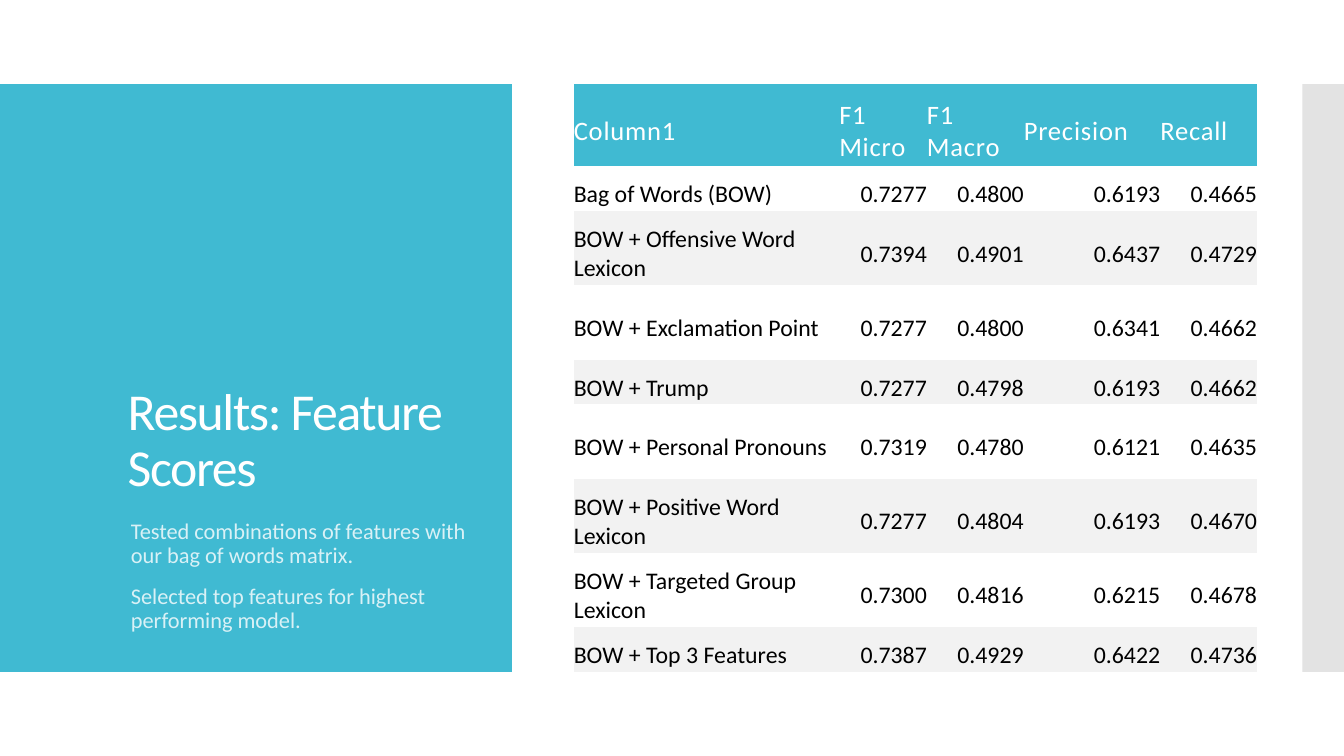
from pptx import Presentation
from pptx.dml.color import RGBColor
from pptx.enum.shapes import MSO_SHAPE
from pptx.enum.text import MSO_ANCHOR, PP_ALIGN
from pptx.util import Cm, Pt

TEAL, WHITE, BLACK = "40BAD2", "FFFFFF", "000000"
PALE, GREY, BAND = "D9F1F6", "E3E3E3", "F2F2F2"
NO_GRID = "{2D5ABB26-0587-4C30-8999-92F81FD0307C}"

TITLE = "Results:\u00a0Feature Scores"
NOTES = ["Tested combinations of features with our bag of words matrix.",
         "Selected top features for highest performing model."]
HEADS = ["Column1", "F1 Micro", "F1 Macro", "Precision", "Recall"]
SCORES = [
    ("Bag of Words (BOW)", 0.7277, 0.4800, 0.6193, 0.4665),
    ("BOW + Offensive Word Lexicon", 0.7394, 0.4901, 0.6437, 0.4729),
    ("BOW + Exclamation Point", 0.7277, 0.4800, 0.6341, 0.4662),
    ("BOW + Trump", 0.7277, 0.4798, 0.6193, 0.4662),
    ("BOW + Personal Pronouns", 0.7319, 0.4780, 0.6121, 0.4635),
    ("BOW + Positive Word Lexicon", 0.7277, 0.4804, 0.6193, 0.4670),
    ("BOW + Targeted Group Lexicon", 0.7300, 0.4816, 0.6215, 0.4678),
    ("BOW + Top 3 Features", 0.7387, 0.4929, 0.6422, 0.4736),
]
WIDTHS = [6.69, 2.21, 2.44, 3.44, 2.44]
HEAD, LOW, TALL = 2.07, 1.13, 1.87
HEIGHTS = [HEAD, LOW, TALL, TALL, LOW, TALL, TALL, TALL, LOW]


def color(code):
    """Turn a hex string into a colour."""
    return RGBColor.from_string(code)


def style(para, size, code, gap=0):
    """Set font, size, colour and letter gap (points) of a paragraph."""
    font = para.font
    font.name, font.size = "Calibri", Pt(size)
    font.color.rgb = color(code)
    if gap:
        font._element.set("spc", str(round(gap * 100)))


def add_panel(slide, box, code):
    """Draw a plain filled rectangle."""
    panel = slide.shapes.add_shape(MSO_SHAPE.RECTANGLE, *map(Cm, box))
    panel.shadow.inherit = False
    panel.fill.solid()
    panel.fill.fore_color.rgb = color(code)
    panel.line.fill.background()


def add_text(slide, box, lines, size, code, gap=0, before=0,
             anchor=MSO_ANCHOR.TOP):
    """Add a wrapped text box with one paragraph per line."""
    frame = slide.shapes.add_textbox(*map(Cm, box)).text_frame
    frame.word_wrap = True
    frame.vertical_anchor = anchor
    frame.text = "\n".join(lines)
    for para in frame.paragraphs:
        para.line_spacing = 0.9
        para.space_before = Pt(before)
        style(para, size, code, gap)


def add_intro(slide, box):
    """Fill the left panel with the title and the notes."""
    left, top, width, height = box
    add_panel(slide, box, TEAL)
    add_text(slide, (left + 2.97, top + 1.5, 9.04, 9.04), [TITLE], 37, WHITE,
             gap=-1, anchor=MSO_ANCHOR.BOTTOM)
    add_text(slide, (left + 3.05, top + 10.86, 8.97, 2.54), NOTES, 16, PALE,
             before=12)


def fill_cell(cell, text, row, col):
    """Write one cell, styled by its place in the table."""
    cell.margin_left = cell.margin_right = cell.margin_bottom = 0
    cell.margin_top = Cm(0.3)
    cell.vertical_anchor = MSO_ANCHOR.MIDDLE
    cell.text = text
    para = cell.text_frame.paragraphs[0]
    if row == 0:
        style(para, 19, WHITE, 0.6)
    else:
        style(para, 17, BLACK)
        para.alignment = PP_ALIGN.RIGHT if col else PP_ALIGN.LEFT
    if row % 2 and row:
        cell.fill.background()
    else:
        cell.fill.solid()
        cell.fill.fore_color.rgb = color(BAND if row else TEAL)


def add_scores(slide, box):
    """Add the table of scores."""
    rows = [HEADS] + [[name] + [f"{score:.4f}" for score in scores]
                      for name, *scores in SCORES]
    frame = slide.shapes.add_table(len(rows), len(HEADS), *map(Cm, box))
    table = frame.table
    table.horz_banding = False
    table._tbl.tblPr[0].text = NO_GRID
    for column, width in zip(table.columns, WIDTHS):
        column.width = Cm(width)
    for line, height in zip(table.rows, HEIGHTS):
        line.height = Cm(height)
    for row, texts in enumerate(rows):
        for col, text in enumerate(texts):
            fill_cell(table.cell(row, col), text, row, col)


def main():
    """Build and save the slide."""
    deck = Presentation()
    deck.slide_width, deck.slide_height = Cm(33.87), Cm(19.05)
    slide = deck.slides.add_slide(deck.slide_layouts[6])
    top, height = 2.12, 14.81
    add_intro(slide, (0, top, 12.9, height))
    add_panel(slide, (32.82, top, 1.05, height), GREY)
    add_scores(slide, (14.46, top, sum(WIDTHS), height))
    deck.save("out.pptx")


main()
